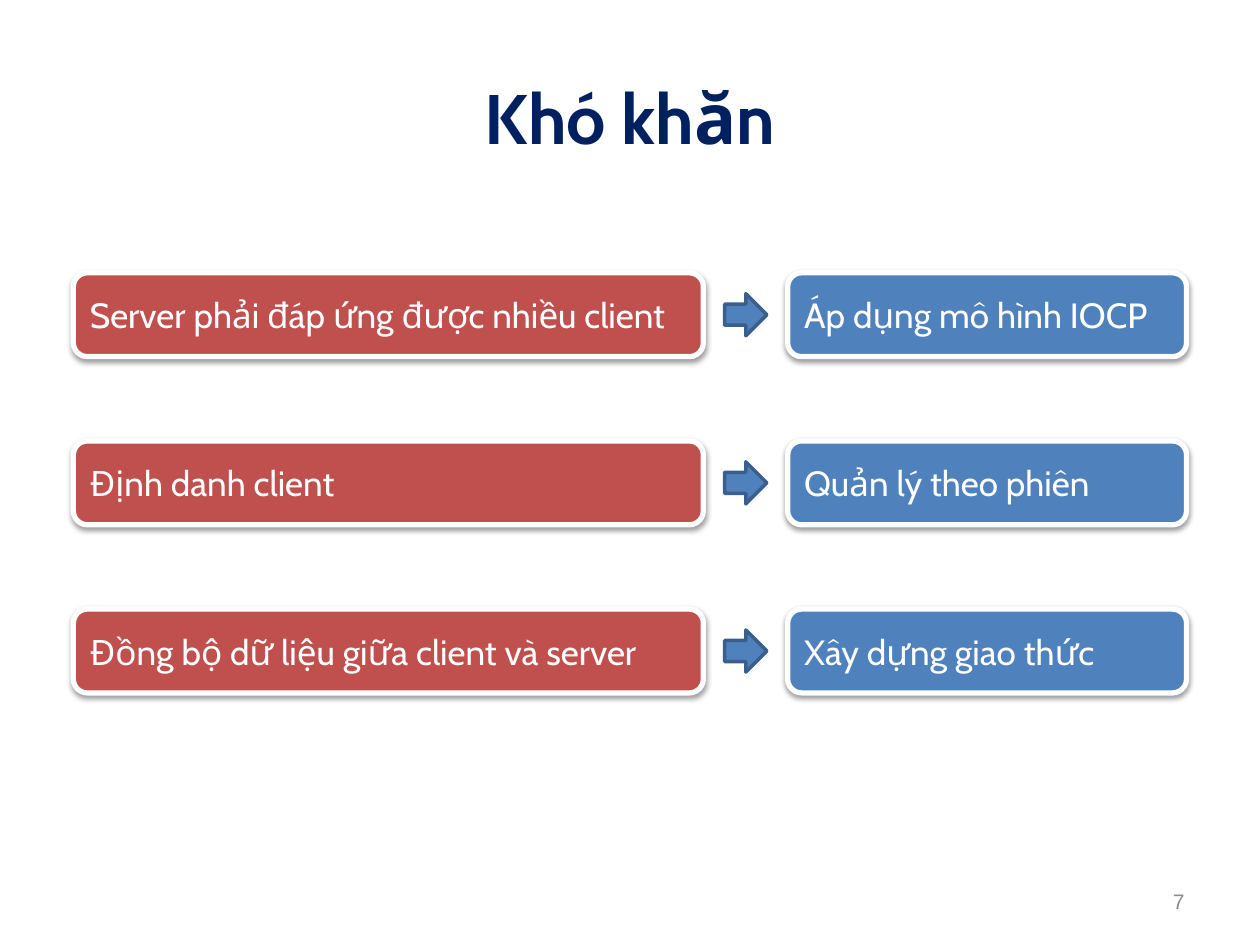
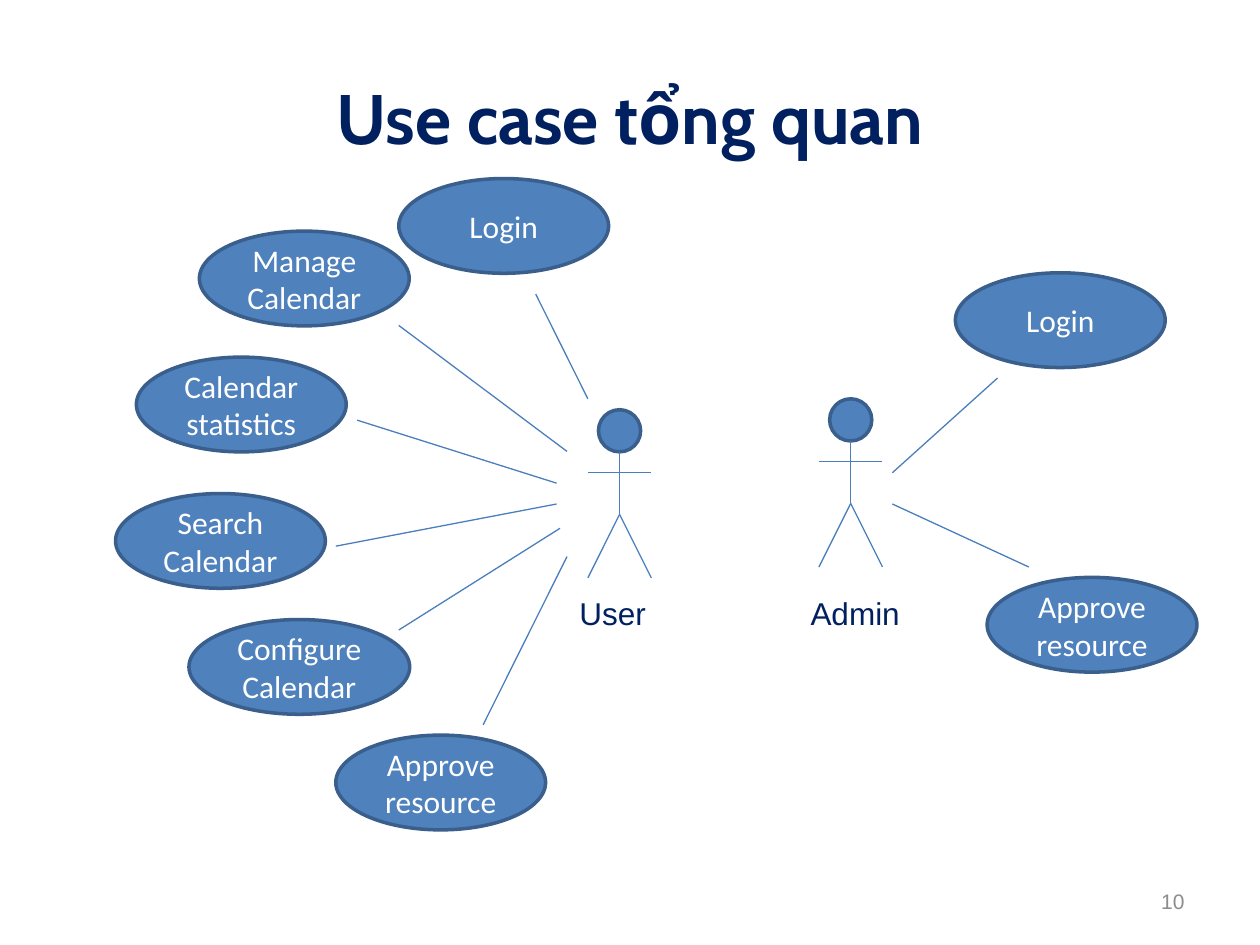
from lxml import etree
from pptx import Presentation
from pptx import util as u
from pptx.dml.color import RGBColor
from pptx.enum import shapes, text
from pptx.oxml import parse_xml
from pptx.oxml.ns import nsdecls, qn

# Shared look
colours = {"navy": "002060", "red": "C0504D", "blue": "4F81BD", "edge": "3A5F8C",
           "stroke": "4B7EBC", "white": "FFFFFF", "grey": "8C8C8C"}
rgb = {name: RGBColor.from_string(value) for name, value in colours.items()}
fonts = {
    "title": {"name": "Cabin", "size": u.Pt(40), "bold": True},
    "card": {"name": "Cabin", "size": u.Pt(20)},
    "use_case": {"name": "Calibri", "size": u.Pt(18)},
    "actor": {"name": "Arial", "size": u.Pt(18)},
    "number": {"name": "Arial", "size": u.Pt(12)},
}
left, centre, right = text.PP_ALIGN.LEFT, text.PP_ALIGN.CENTER, text.PP_ALIGN.RIGHT
middle, top_anchor = text.MSO_ANCHOR.MIDDLE, text.MSO_ANCHOR.TOP
kinds = shapes.MSO_SHAPE
shadow_xml = (f'<a:outerShdw {nsdecls("a")} blurRad="39370" dist="20320" dir="5400000" '
              'rotWithShape="0"><a:srgbClr val="000000"><a:alpha val="38000"/>'
              '</a:srgbClr></a:outerShdw>')


def write(box, words, style, colour, align, anchor=middle):
    frame = box.text_frame
    for name, value in {"word_wrap": True, "vertical_anchor": anchor,
                        "auto_size": text.MSO_AUTO_SIZE.NONE}.items():
        setattr(frame, name, value)
    para = frame.paragraphs[0]
    para.alignment = align
    span = para.add_run()
    span.text = words
    for name, value in fonts[style].items():
        setattr(span.font, name, value)
    span.font.color.rgb = rgb[colour]


def draw(page, kind, frame, fill="blue", line="edge", width=2):
    box = page.shapes.add_shape(kind, *map(u.Cm, frame))
    box.shadow.inherit = False
    box.fill.solid()
    box.fill.fore_color.rgb = rgb[fill]
    box.line.color.rgb = rgb[line]
    box.line.width = u.Pt(width)
    return box


deck = Presentation()
deck.slide_width, deck.slide_height = u.Cm(25.4), u.Cm(19.05)

# Pages with title and number
pages = []
for heading, number in [("Khó khăn", "7"), ("Use case tổng quan", "10")]:
    page = deck.slides.add_slide(deck.slide_layouts[5])
    title = page.shapes.title
    frame = {"left": 1.27, "top": 0.76, "width": 22.86, "height": 3.18}
    for name, value in frame.items():
        setattr(title, name, u.Cm(value))
    write(title, heading, "title", "navy", centre)
    box = page.shapes.add_textbox(*map(u.Cm, (18.2, 17.65, 5.93, 1.02)))
    write(box, number, "number", "grey", right)
    pages.append(page)
problem_page, use_case_page = pages

# Problems and their solutions
rows = [
    ("Server phải đáp ứng được nhiều client", "Áp dụng mô hình IOCP"),
    ("Định danh client", "Quản lý theo phiên"),
    ("Đồng bộ dữ liệu giữa client và server", "Xây dựng giao thức"),
]
card_height, arrow_size = 1.69, 0.85
for index, (problem, solution) in enumerate(rows):
    top = 5.5 + index * 3.39
    for words, x, width, fill in [(problem, 1.48, 12.7, "red"),
                                  (solution, 15.88, 8.04, "blue")]:
        card = draw(problem_page, kinds.ROUNDED_RECTANGLE, (x, top, width, card_height),
                    fill, "white", 3)
        card._element.spPr.find(qn("a:effectLst")).append(parse_xml(shadow_xml))
        write(card, words, "card", "white", left)
    arrow_top = top + (card_height - arrow_size) / 2
    draw(problem_page, kinds.RIGHT_ARROW, (14.61, arrow_top, arrow_size, arrow_size))

# Use cases: words, left, top, width
use_cases = [
    ("Manage Calendar", 4.02, 4.66, 4.23),
    ("Calendar statistics", 2.75, 7.2, 4.23),
    ("Search Calendar", 2.33, 9.95, 4.23),
    ("Configure Calendar", 3.81, 12.49, 4.45),
    ("Approve resource", 6.77, 14.82, 4.23),
    ("Login", 8.04, 3.6, 4.23),
    ("Approve resource", 19.9, 11.64, 4.23),
    ("Login", 19.26, 5.5, 4.23),
]
for words, x, y, width in use_cases:
    oval = draw(use_case_page, kinds.OVAL, (x, y, width, 1.91))
    write(oval, words, "use_case", "white", centre)

# Links between actors and use cases
lines = [
    (8.04, 6.56, 11.43, 9.1),
    (7.2, 8.47, 11.22, 9.74),
    (6.77, 11.01, 11.22, 10.16),
    (8.04, 12.7, 11.29, 10.65),
    (9.74, 14.61, 11.43, 11.22),
    (10.8, 5.93, 11.85, 8.04),
    (20.74, 11.43, 17.99, 10.16),
    (17.99, 9.53, 20.11, 7.62),
]

# Actors: head, label, and limbs added to the lines
head_size, arm_drop, hip_drop, foot_drop, reach = 0.85, 1.27, 2.11, 3.39, 0.64
for name, x, y, label_left, label_width in [("User", 12.49, 8.26, 11.43, 2.12),
                                            ("Admin", 17.15, 8.04, 16.09, 2.33)]:
    draw(use_case_page, kinds.FLOWCHART_CONNECTOR,
         (x - head_size / 2, y, head_size, head_size))
    lines += [
        (x, y + head_size, x, y + hip_drop),
        (x - reach, y + arm_drop, x + reach, y + arm_drop),
        (x, y + hip_drop, x - reach, y + foot_drop),
        (x, y + hip_drop, x + reach, y + foot_drop),
    ]
    label = use_case_page.shapes.add_textbox(
        *map(u.Cm, (label_left, 11.85, label_width, 1.02)))
    write(label, name, "actor", "navy", left, top_anchor)

for ends in lines:
    link = use_case_page.shapes.add_connector(shapes.MSO_CONNECTOR.STRAIGHT,
                                              *map(u.Cm, ends))
    link.line.color.rgb = rgb["stroke"]
    link.line.width = u.Pt(0.75)
    etree.SubElement(link._element.spPr, qn("a:effectLst"))

deck.save("out.pptx")
